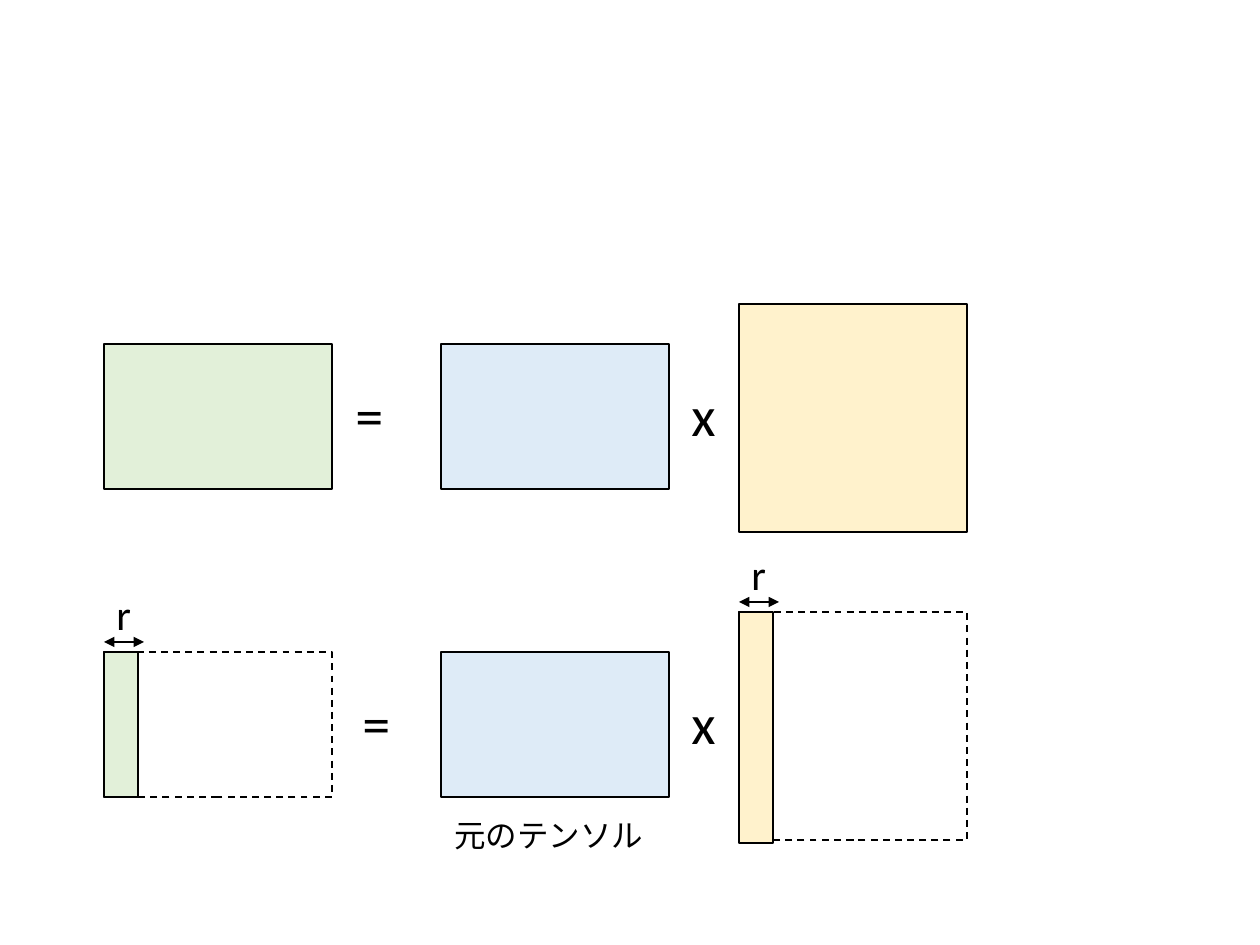
from pptx import Presentation
from pptx.util import Emu, Pt
from pptx.dml.color import RGBColor as Rgb
from pptx.enum.dml import MSO_LINE as Dash
from pptx.enum.shapes import MSO_SHAPE as Shape, MSO_CONNECTOR as Link
from pptx.enum.text import MSO_AUTO_SIZE as Fit
from pptx.oxml.ns import qn
from lxml.etree import SubElement as Sub

PX = 914400 / 126
INK = {"line": "000000", "green": "E2F0D9", "blue": "DEEBF7",
       "cream": "FFF2CC", "white": "FFFFFF"}
WIDE, HIGH = 228, 145       # matrix size; the square factor is WIDE by WIDE
LEFT, MID, RIGHT = 104, 441, 739
SLIM = 34                   # width of a strip of r columns


def box(x, y, w, h, hue, dash=False):
    rect = slide.shapes.add_shape(Shape.RECTANGLE, *[Emu(round(n * PX)) for n in (x, y, w, h)])
    rect.shadow.inherit = False
    rect.fill.solid()
    rect.fill.fore_color.rgb = Rgb.from_string(INK[hue])
    rect.line.color.rgb = Rgb.from_string(INK["line"])
    rect.line.width = Pt(1)
    if dash:
        rect.line.dash_style = Dash.DASH


def label(x, y, w, h, text, size, wrap=False):
    area = slide.shapes.add_textbox(*[Emu(round(n * PX)) for n in (x, y, w, h)])
    frame = area.text_frame
    frame.text = text
    frame.word_wrap = wrap
    frame.auto_size = Fit.SHAPE_TO_FIT_TEXT
    font = frame.paragraphs[0].runs[0].font
    font.name = "Calibri"
    font.size = Pt(size)
    font.color.rgb = Rgb.from_string(INK["line"])


deck = Presentation()
deck.slide_width = Emu(round(1260 * PX))
deck.slide_height = Emu(round(945 * PX))
slide = deck.slides.add_slide(deck.slide_layouts[6])

# Both equations: full product above, first r columns below
for top, sign, part in ((344, 343, False), (652, 350, True)):
    box(MID, top, WIDE, HIGH, "blue")
    label(679, top + 30, 57, 81, "x", 32, wrap=True)
    box(RIGHT, top - 40, WIDE, WIDE, "white" if part else "cream", part)
    label(sign, top + 30, 54, 81, "=", 32)
    box(LEFT, top, WIDE, HIGH, "white" if part else "green", part)

# Strips of width r, each with its measure above
for x, y, h, hue in ((LEFT, 652, HIGH, "green"), (RIGHT, 612, 231, "cream")):
    box(x, y, SLIM, h, hue)
    ends = [Emu(round(n * PX)) for n in (x, y - 10, x + 40, y - 10)]
    arrow = slide.shapes.add_connector(Link.STRAIGHT, *ends)
    arrow.line.color.rgb = Rgb.from_string(INK["line"])
    arrow.line.width = Pt(1)
    line = arrow.line._get_or_add_ln()
    for end in ("a:headEnd", "a:tailEnd"):
        Sub(line, qn(end), type="triangle")
    Sub(arrow._element.spPr, qn("a:effectLst"))
    label(x, y - 70, 40, 63, "r", 24)

# Caption
label(442, 810, 217, 50, "元のテンソル", 18)

deck.save("out.pptx")
